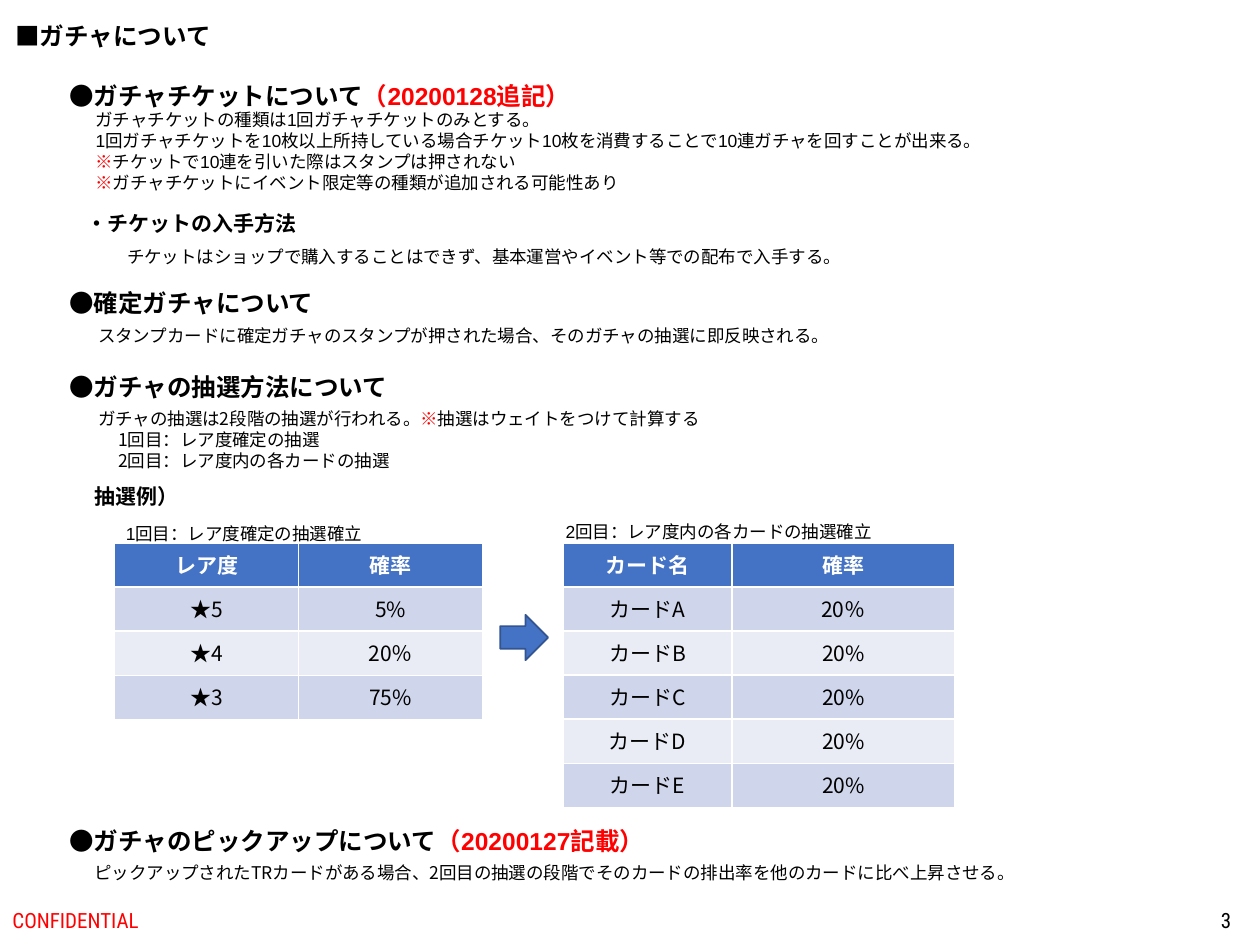
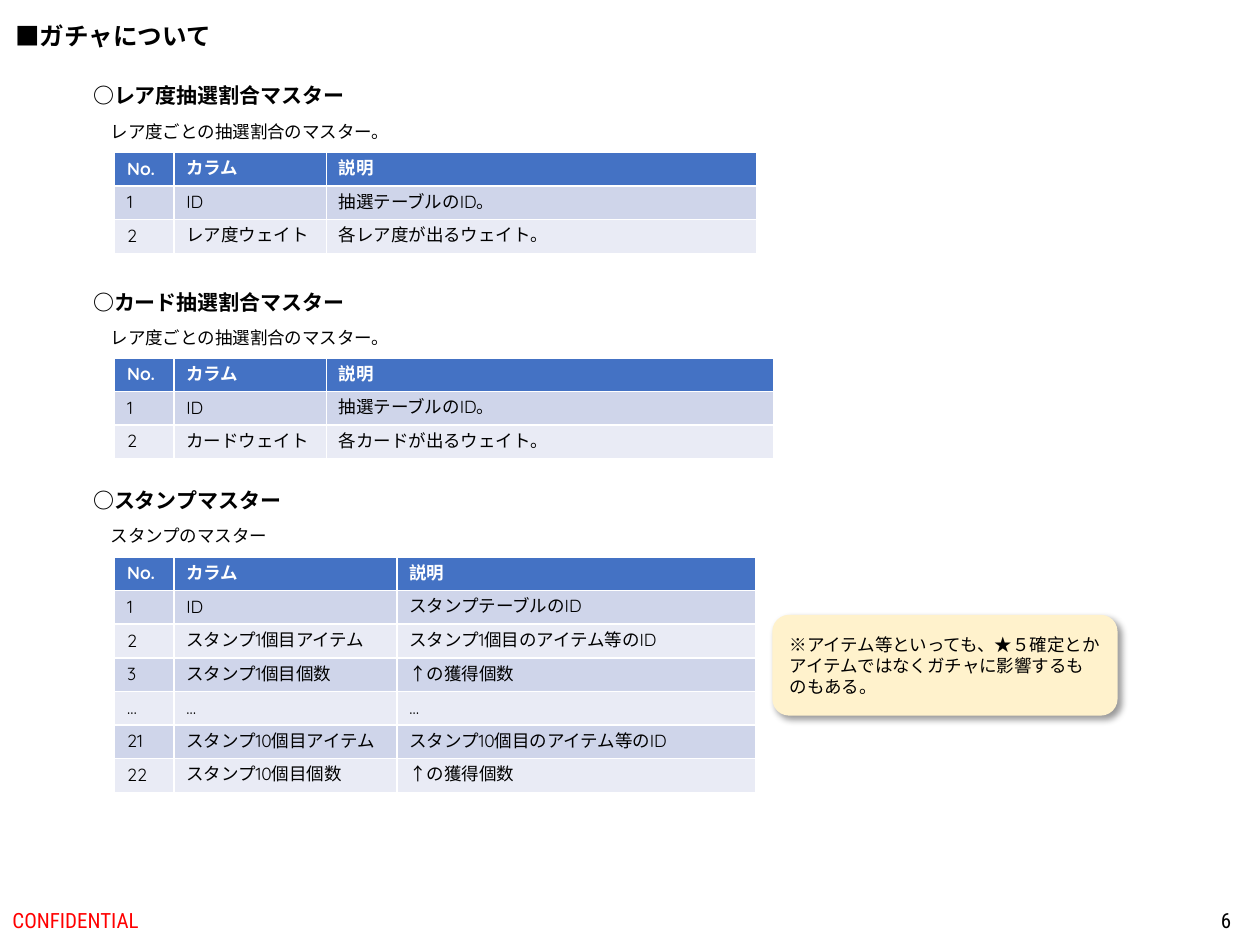
from lxml.etree import SubElement
from pptx import Presentation
from pptx.dml.color import RGBColor
from pptx.enum.shapes import MSO_SHAPE
from pptx.enum.text import MSO_ANCHOR, MSO_AUTO_SIZE, PP_ALIGN
from pptx.oxml.ns import qn
from pptx.util import Inches, Pt

BLACK = RGBColor(0x00, 0x00, 0x00)
WHITE = RGBColor(0xFF, 0xFF, 0xFF)
RED = RGBColor(0xFF, 0x00, 0x00)
BLUE = RGBColor(0x44, 0x72, 0xC4)
DARK_BLUE = RGBColor(0x32, 0x54, 0x91)
BAND_DARK = RGBColor(0xCF, 0xD5, 0xEA)
BAND_LIGHT = RGBColor(0xE9, 0xEB, 0xF5)
CREAM = RGBColor(0xFF, 0xF2, 0xCC)
ARIAL, NOTO = "Arial", "Noto Sans CJK JP"
QUICKSAND, ROBOTO = "Quicksand", "Roboto Condensed"


def write(frame, lines, size, font, bold=False, color=BLACK,
          align=PP_ALIGN.LEFT, fixed_leading=True, indents=()):
    for index, line in enumerate(lines):
        paragraph = frame.paragraphs[0] if index == 0 else frame.add_paragraph()
        paragraph.alignment = align
        if fixed_leading:
            paragraph.line_spacing = Pt(size * 1.2)
        if index < len(indents):
            paragraph._p.get_or_add_pPr().set("marL", str(Inches(indents[index])))
        for part, text in enumerate(line.split("|")):
            if text:
                run = paragraph.add_run()
                run.text = text
                if part % 2:
                    run.font.color.rgb = RED
        paragraph.font.size = Pt(size)
        paragraph.font.bold = bold
        paragraph.font.color.rgb = color
        paragraph.font.name = font
        defaults = paragraph._p.pPr.find(qn("a:defRPr"))
        SubElement(defaults, qn("a:ea")).set("typeface", NOTO)


def add_grid(slide, left, top, height, widths, rows, size, font,
             align=PP_ALIGN.LEFT, fixed_leading=True):
    grid = slide.shapes.add_table(len(rows), len(widths), Inches(left), Inches(top),
                                  Inches(sum(widths)), Inches(height)).table
    for column, width in zip(grid.columns, widths):
        column.width = Inches(width)
    for r, row in enumerate(rows):
        for c, text in enumerate(row):
            cell = grid.cell(r, c)
            cell.fill.solid()
            cell.fill.fore_color.rgb = BLUE if r == 0 else BAND_DARK if r % 2 else BAND_LIGHT
            if text == "…":
                cell.vertical_anchor = MSO_ANCHOR.MIDDLE
            write(cell.text_frame, [text], size, font, r == 0,
                  WHITE if r == 0 else BLACK, align, fixed_leading)


prs = Presentation()
prs.slide_width, prs.slide_height = Inches(10), Inches(7.5)

pages = []
for number in ("3", "6"):
    page = prs.slides.add_slide(prs.slide_layouts[5])
    pages.append(page)
    title = page.shapes.title
    title.left, title.top = Inches(0.02), Inches(0.12)
    title.width, title.height = Inches(1.77), Inches(0.34)
    title.text_frame.word_wrap = False
    title.text_frame.auto_size = MSO_AUTO_SIZE.SHAPE_TO_FIT_TEXT
    title.text_frame.vertical_anchor = MSO_ANCHOR.TOP
    write(title.text_frame, ["■ガチャについて"], 14, ARIAL, bold=True)
    for left, width, text, color, align in (
        (0, 3.38, "CONFIDENTIAL", RED, PP_ALIGN.LEFT),
        (7.62, 2.25, number, BLACK, PP_ALIGN.RIGHT),
    ):
        footer = page.shapes.add_textbox(Inches(left), Inches(7.1), Inches(width), Inches(0.4))
        footer.text_frame.word_wrap = True
        footer.text_frame.vertical_anchor = MSO_ANCHOR.MIDDLE
        write(footer.text_frame, [text], 12, ROBOTO, color=color, align=align)

rules, masters = pages

rule_texts = [
    (0.45, 0.59, 4.41, 0.34, 14, ARIAL, ["●ガチャチケットについて|（20200128追記）"]),
    (0.66, 0.82, 7.41, 0.77, 10, ARIAL, [
        "ガチャチケットの種類は1回ガチャチケットのみとする。",
        "1回ガチャチケットを10枚以上所持している場合チケット10枚を消費することで10連ガチャを回すことが出来る。",
        "|※|チケットで10連を引いた際はスタンプは押されない",
        "|※|ガチャチケットにイベント限定等の種類が追加される可能性あり",
    ]),
    (0.59, 1.62, 1.88, 0.3, 12, ARIAL, ["・チケットの入手方法"]),
    (0.91, 1.9, 5.95, 0.27, 10, ARIAL,
     ["チケットはショップで購入することはできず、基本運営やイベント等での配布で入手する。"]),
    (0.45, 2.24, 2.17, 0.34, 14, ARIAL, ["●確定ガチャについて"]),
    (0.68, 2.53, 6.09, 0.44, 10, ARIAL,
     ["スタンプカードに確定ガチャのスタンプが押された場合、そのガチャの抽選に即反映される。"]),
    (0.45, 2.9, 2.75, 0.34, 14, ARIAL, ["●ガチャの抽選方法について"]),
    (0.68, 3.19, 8.59, 0.61, 10, NOTO, [
        "ガチャの抽選は2段階の抽選が行われる。|※|抽選はウェイトをつけて計算する",
        "1回目：レア度確定の抽選",
        "2回目：レア度内の各カードの抽選",
    ]),
    (0.65, 3.79, 0.88, 0.3, 12, ARIAL, ["抽選例）"]),
    (0.9, 4.1, 2.11, 0.27, 10, ARIAL, ["1回目：レア度確定の抽選確立"]),
    (4.39, 4.09, 2.67, 0.27, 10, ARIAL, ["2回目：レア度内の各カードの抽選確立"]),
    (0.45, 6.51, 5.19, 0.34, 14, ARIAL, ["●ガチャのピックアップについて|（20200127記載）"]),
    (0.65, 6.79, 8.59, 0.44, 10, NOTO,
     ["ピックアップされたTRカードがある場合、2回目の抽選の段階でそのカードの排出率を他のカードに比べ上昇させる。"]),
]
master_texts = []
for top, width, heading, note_width, note in (
    (0.61, 2.22, "○レア度抽選割合マスター", 2.45, "レア度ごとの抽選割合のマスター。"),
    (2.25, 2.22, "○カード抽選割合マスター", 2.45, "レア度ごとの抽選割合のマスター。"),
    (3.82, 1.72, "○スタンプマスター", 1.46, "スタンプのマスター"),
):
    master_texts.append((0.64, top, width, 0.3, 12, NOTO, [heading]))
    master_texts.append((0.78, top + 0.3, note_width, 0.27, 10, NOTO, [note]))

for page, texts in ((rules, rule_texts), (masters, master_texts)):
    for left, top, width, height, size, font, lines in texts:
        box = page.shapes.add_textbox(Inches(left), Inches(top), Inches(width), Inches(height))
        box.text_frame.word_wrap = width > 8
        box.text_frame.auto_size = MSO_AUTO_SIZE.SHAPE_TO_FIT_TEXT
        indents = (0, 0.16, 0.16) if len(lines) == 3 else ()
        write(box.text_frame, lines, size, font, bold=size > 10, indents=indents)

rarity_odds = [("レア度", "確率"), ("★5", "5%"), ("★4", "20％"), ("★3", "75%")]
card_odds = [("カード名", "確率"), ("カードA", "20％")]
card_odds += [(f"カード{letter}", "20%") for letter in "BCDE"]
for left, widths, rows in ((0.91, (1.46, 1.46), rarity_odds), (4.47, (1.34, 1.77), card_odds)):
    add_grid(rules, left, 4.31, 0.35 * len(rows), widths, rows, 12, NOTO,
             PP_ALIGN.CENTER, fixed_leading=False)

next_draw = rules.shapes.add_shape(MSO_SHAPE.RIGHT_ARROW, Inches(3.97), Inches(4.88),
                                   Inches(0.38), Inches(0.36))
next_draw.shadow.inherit = False
next_draw.fill.solid()
next_draw.fill.fore_color.rgb = BLUE
next_draw.line.color.rgb = DARK_BLUE
next_draw.line.width = Pt(1)

column_heads = ("No.", "カラム", "説明")
master_grids = [
    (1.21, 0.8, (0.47, 1.21, 3.42), [
        ("1", "ID", "抽選テーブルのID。"),
        ("2", "レア度ウェイト", "各レア度が出るウェイト。"),
    ]),
    (2.84, 0.8, (0.47, 1.21, 3.55), [
        ("1", "ID", "抽選テーブルのID。"),
        ("2", "カードウェイト", "各カードが出るウェイト。"),
    ]),
    (4.42, 1.87, (0.47, 1.77, 2.85), [
        ("1", "ID", "スタンプテーブルのID"),
        ("2", "スタンプ1個目アイテム", "スタンプ1個目のアイテム等のID"),
        ("3", "スタンプ1個目個数", "↑の獲得個数"),
        ("…", "…", "…"),
        ("21", "スタンプ10個目アイテム", "スタンプ10個目のアイテム等のID"),
        ("22", "スタンプ10個目個数", "↑の獲得個数"),
    ]),
]
for top, height, widths, rows in master_grids:
    add_grid(masters, 0.91, top, height, widths, [column_heads] + rows, 10, QUICKSAND)

item_note = masters.shapes.add_shape(MSO_SHAPE.ROUNDED_RECTANGLE, Inches(6.13), Inches(4.88),
                                     Inches(2.74), Inches(0.8))
item_note.shadow.inherit = False
item_note.fill.solid()
item_note.fill.fore_color.rgb = CREAM
item_note.line.fill.background()
effects = item_note._element.spPr.find(qn("a:effectLst"))
shadow = SubElement(effects, qn("a:outerShdw"), blurRad=str(Pt(4)), dist=str(Pt(3)),
                    dir="2700000", algn="tl", rotWithShape="0")
shade = SubElement(shadow, qn("a:srgbClr"), val="000000")
SubElement(shade, qn("a:alpha"), val="40000")
item_note.text_frame.word_wrap = True
item_note.text_frame.vertical_anchor = MSO_ANCHOR.MIDDLE
write(item_note.text_frame,
      ["※アイテム等といっても、★５確定とかアイテムではなくガチャに影響するものもある。"],
      10, QUICKSAND)

prs.save("out.pptx")
